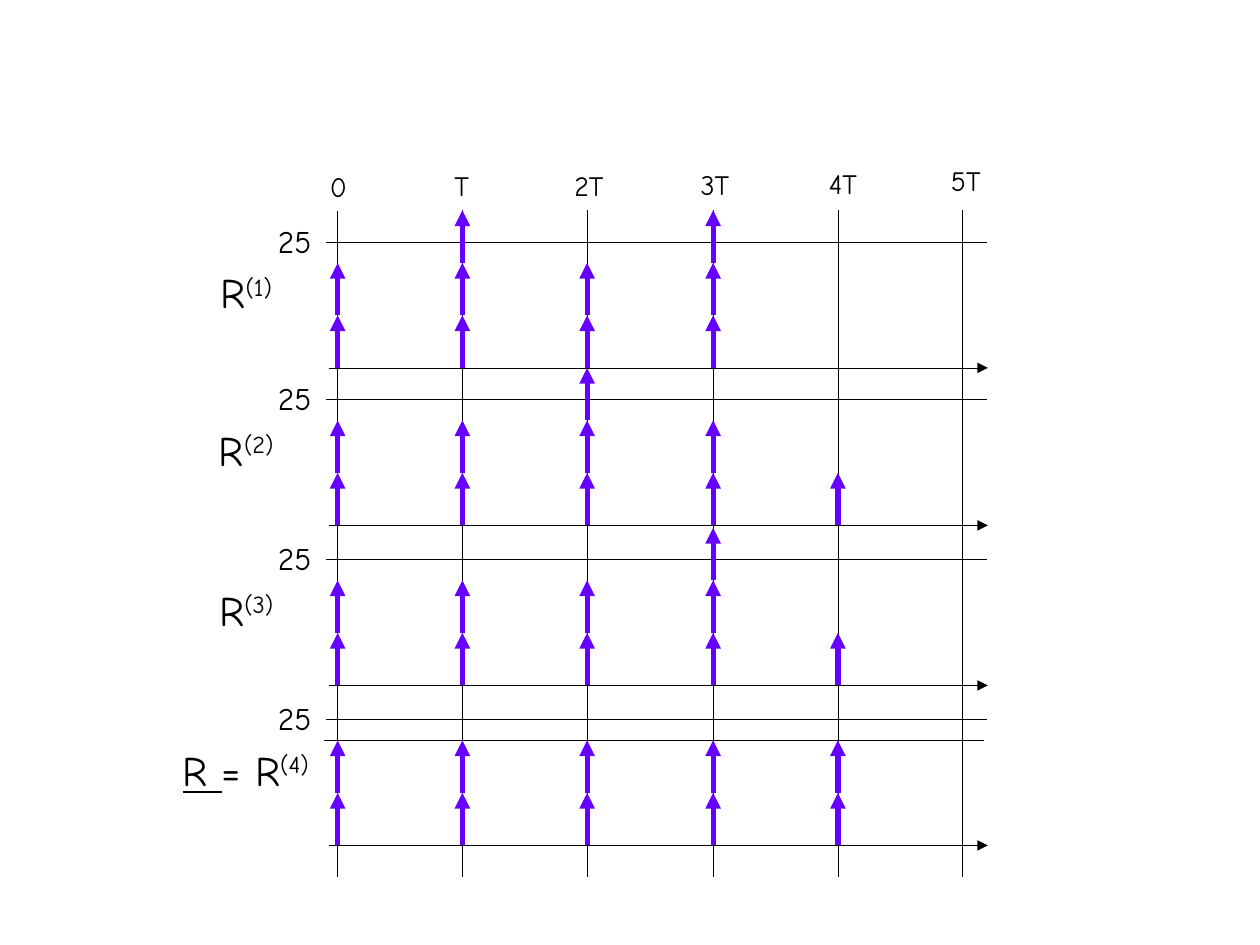
import dataclasses

import pptx
import pptx.dml.color
import pptx.enum.dml
import pptx.enum.shapes
import pptx.enum.text
import pptx.oxml
import pptx.oxml.ns
import pptx.util


@dataclasses.dataclass(frozen=True)
class Theme:
    font: str = "Comic Neue"
    ink: str = "000000"
    pulse: str = "6600FF"
    paper: str = "FFFFFF"
    time_size: int = 16
    level_size: int = 18
    name_size: int = 24
    hairline: float = 0.25
    border: float = 0.75
    pulse_width: float = 3
    side_margin: float = 0.05


THEME = Theme()
INSTANTS = 6
FIRST_INSTANT, LAST_INSTANT = 2.68, 7.64
PANEL_TOPS = [1.67, 2.92, 4.19, 5.46]
PANEL_HEIGHT = 1.5
AXIS_DROP = 1.25
LEVEL_DROP = 0.25
PULSE_HEIGHT = AXIS_DROP / 3
AXIS_LEFT, AXIS_RIGHT = 2.61, 7.84
LEVEL_LEFT, LEVEL_RIGHT = 2.59, 7.83

TIME_LABELS = [("0", 2.52, 1.3, 0.33), ("T", 3.51, 1.29, 0.31),
               ("2T", 4.46, 1.29, 0.43), ("3T", 5.46, 1.28, 0.43),
               ("4T", 6.48, 1.27, 0.42), ("5T", 7.45, 1.25, 0.43)]
PULSE_COUNTS = [[2, 3, 2, 3, 0], [2, 2, 3, 2, 1],
                [2, 2, 2, 3, 1], [2, 2, 2, 2, 2]]
PANEL_NAMES = [([("R", {}), ("(1)", {"raised": True})], 1.65, 0.61),
               ([("R", {}), ("(2)", {"raised": True})], 1.64, 0.63),
               ([("R", {}), ("(3)", {"raised": True})], 1.64, 0.63),
               ([("R ", {"underline": True}), ("= R", {}),
                 ("(4)", {"raised": True})], 1.35, 1.2)]


def instant_x(index):
    gap = (LAST_INSTANT - FIRST_INSTANT) / (INSTANTS - 1)
    return round(FIRST_INSTANT + index * gap, 2)


def inches(*lengths):
    return [pptx.util.Inches(length) for length in lengths]


def colour(value):
    return pptx.dml.color.RGBColor.from_string(value)


def add_run(paragraph, text, size, underline=False, raised=False):
    run = paragraph.add_run()
    run.text = text
    run.font.name = THEME.font
    run.font.size = pptx.util.Pt(size)
    run.font.color.rgb = colour(THEME.ink)
    if underline:
        run.font.underline = True
    if raised:
        run.font._element.set("baseline", "30000")


def add_label(panel, runs, left, top, width, height, size, bordered=True):
    bounds = inches(left, top, width, height)
    if bordered:
        label = panel.add_shape(pptx.enum.shapes.MSO_SHAPE.RECTANGLE, *bounds)
        label.shadow.inherit = False
        label.fill.background()
        label.line.color.rgb = colour(THEME.paper)
        label.line.width = pptx.util.Pt(THEME.border)
    else:
        label = panel.add_textbox(*bounds)
    frame = label.text_frame
    frame.word_wrap = False
    frame.auto_size = pptx.enum.text.MSO_AUTO_SIZE.SHAPE_TO_FIT_TEXT
    frame.vertical_anchor = pptx.enum.text.MSO_ANCHOR.TOP
    frame.margin_left, frame.margin_right = inches(
        THEME.side_margin, THEME.side_margin)
    paragraph = frame.paragraphs[0]
    paragraph.alignment = pptx.enum.text.PP_ALIGN.CENTER
    for text, style in runs:
        add_run(paragraph, text, size, **style)


def add_line(panel, x1, y1, x2, y2, ink=THEME.ink, width=THEME.hairline,
             dotted=False, arrow=False):
    line = panel.add_connector(
        pptx.enum.shapes.MSO_CONNECTOR.STRAIGHT, *inches(x1, y1, x2, y2))
    line.line.color.rgb = colour(ink)
    line.line.width = pptx.util.Pt(width)
    if dotted:
        line.line.dash_style = pptx.enum.dml.MSO_LINE.ROUND_DOT
    if arrow:
        head = pptx.oxml.parse_xml(
            f'<a:tailEnd {pptx.oxml.ns.nsdecls("a")} type="triangle"/>')
        line.line._get_or_add_ln().append(head)
    line._element.spPr.append(pptx.oxml.parse_xml(
        f'<a:effectLst {pptx.oxml.ns.nsdecls("a")}/>'))


def add_axes(panel, top):
    for index in range(INSTANTS):
        x = instant_x(index)
        add_line(panel, x, top, x, top + PANEL_HEIGHT)
    axis = top + AXIS_DROP
    add_line(panel, AXIS_LEFT, axis, AXIS_RIGHT, axis, arrow=True)
    level = top + LEVEL_DROP
    add_line(panel, LEVEL_LEFT, level, LEVEL_RIGHT, level, dotted=True)
    for index in (1, 3):
        x = instant_x(index)
        add_line(panel, x, top + 0.58, x, top + 0.75, width=THEME.border)


def add_pulses(panel, top, counts):
    for index, count in enumerate(counts):
        x = instant_x(index)
        for step in range(count):
            base = top + AXIS_DROP - step * PULSE_HEIGHT
            add_line(panel, x, base, x, base - PULSE_HEIGHT,
                     ink=THEME.pulse, width=THEME.pulse_width, arrow=True)


def main():
    deck = pptx.Presentation()
    deck.slide_width, deck.slide_height = inches(10, 7.5)
    slide = deck.slides.add_slide(deck.slide_layouts[6])
    for top, counts, (name, left, width) in zip(
            PANEL_TOPS, PULSE_COUNTS, PANEL_NAMES):
        panel = slide.shapes.add_group_shape().shapes
        add_axes(panel, top)
        if top == PANEL_TOPS[0]:
            for time, time_left, time_top, time_width in TIME_LABELS:
                add_label(panel, [(time, {})], time_left, time_top,
                          time_width, 0.37, THEME.time_size)
        add_pulses(panel, top, counts)
        add_label(panel, name, left, top + 0.4, width, 0.5, THEME.name_size)
        add_label(panel, [("25", {})], 2.11, top + 0.04, 0.46, 0.4,
                  THEME.level_size, bordered=False)
        if top == PANEL_TOPS[-1]:
            capacity = top + AXIS_DROP - 2 * PULSE_HEIGHT
            add_line(panel, 2.57, capacity, 7.8, capacity, dotted=True)
    deck.save("out.pptx")


if __name__ == "__main__":
    main()
